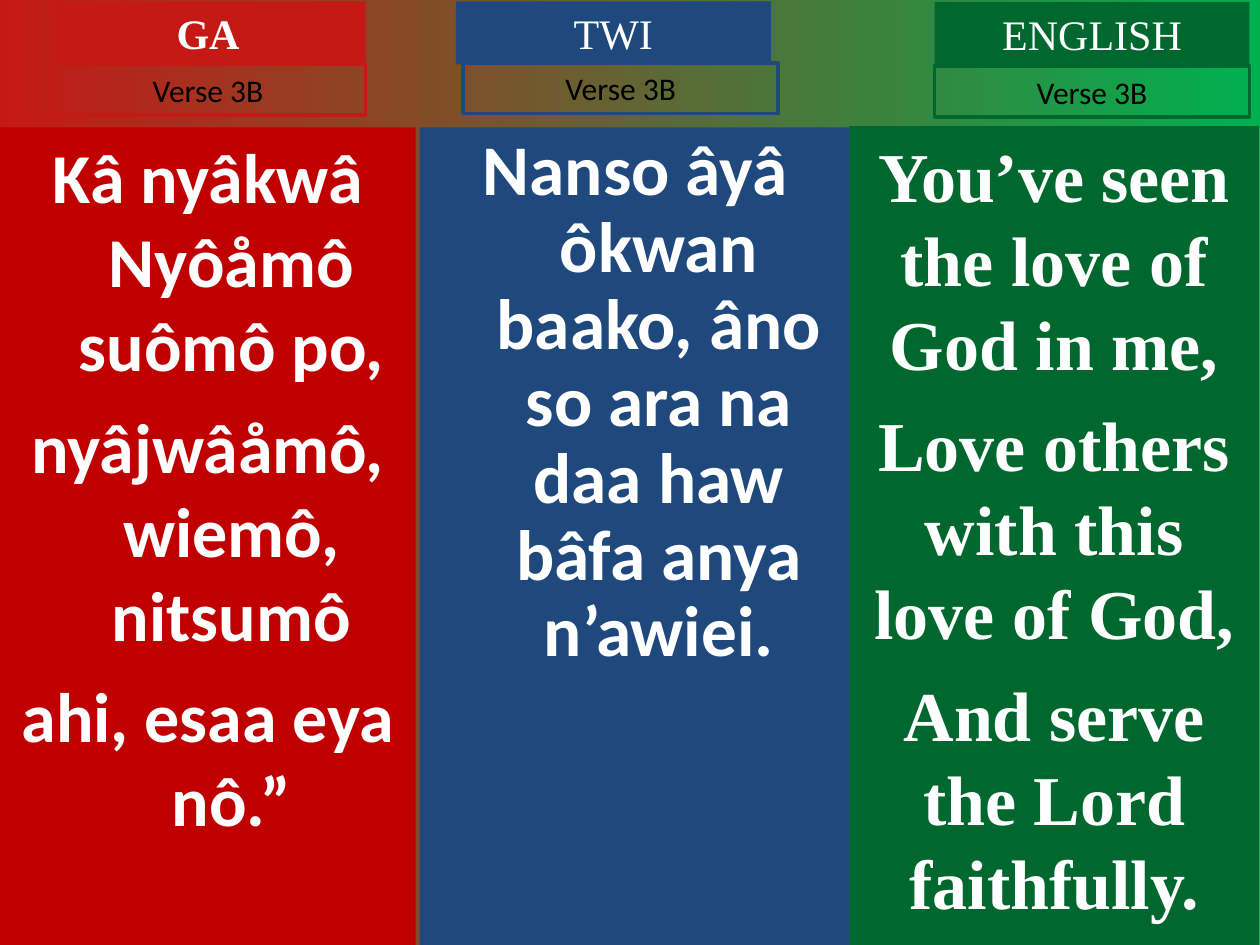
from dataclasses import dataclass

from lxml.etree import SubElement
from pptx import Presentation
from pptx.dml.color import RGBColor
from pptx.enum.shapes import MSO_SHAPE
from pptx.enum.text import MSO_ANCHOR, MSO_AUTO_SIZE, PP_ALIGN
from pptx.oxml.ns import qn
from pptx.util import Cm, Pt


@dataclass(frozen=True)
class Theme:
    red: str = "C00000"
    bright_red: str = "C51915"
    blue: str = "1F497D"
    green: str = "00682F"
    backdrop_green: str = "00B050"
    white: str = "FFFFFF"
    black: str = "000000"
    sans: str = "Calibri"
    serif: str = "Times New Roman"
    heading_size: float = 24
    verse_size: float = 18
    lyric_size: float = 40
    twi_lyric_size: float = 40.7


THEME = Theme()


@dataclass(frozen=True)
class Box:
    """A rectangle in centimetres."""
    left: float
    top: float
    width: float
    height: float


@dataclass(frozen=True)
class TextStyle:
    font: str
    size: float
    color: str
    bold: bool = False
    hanging: float = 0
    line_spacing: float = 1.0
    gap: float = 0


@dataclass(frozen=True)
class Language:
    name: str
    heading_color: str
    heading_bold: bool
    heading_box: Box
    verse_box: Box
    column_color: str
    column_box: Box
    lyric_style: TextStyle
    lyrics: tuple[str, ...]


def heading_at(left: float, top: float) -> Box:
    return Box(left, top, 6.35, 1.27)


def verse_at(left: float, top: float) -> Box:
    return Box(left, top, 6.35, 1.02)


def lyric_style(font: str, **changes) -> TextStyle:
    settings = dict(size=THEME.lyric_size, color=THEME.white, bold=True, gap=10)
    return TextStyle(font, **(settings | changes))


LANGUAGES = (
    Language(
        "GA", THEME.bright_red, True, heading_at(1.02, 0.03), verse_at(1.02, 1.3),
        THEME.red, Box(0, 2.57, 8.38, 16.48),
        lyric_style(THEME.sans, hanging=0.95),
        ("Kâ nyâkwâ Nyôåmô suômô po,", "nyâjwâåmô, wiemô, nitsumô",
         "ahi, esaa eya nô.”"),
    ),
    Language(
        "TWI", THEME.blue, False, heading_at(9.19, 0.03), verse_at(9.34, 1.27),
        THEME.blue, Box(8.46, 2.57, 8.69, 16.48),
        lyric_style(THEME.sans, size=THEME.twi_lyric_size, hanging=0.95,
                    line_spacing=0.9),
        ("Nanso âyâ ôkwan baako, âno so ara na daa haw bâfa anya n’awiei.",),
    ),
    Language(
        "ENGLISH", THEME.green, False, heading_at(18.84, 0.04), verse_at(18.84, 1.34),
        THEME.green, Box(17.12, 2.54, 8.26, 16.54),
        lyric_style(THEME.serif),
        ("You’ve seen the love of God in me,", "Love others with this love of God,",
         "And serve the Lord faithfully."),
    ),
)


def place(shape, box: Box) -> None:
    shape.left, shape.top = Cm(box.left), Cm(box.top)
    shape.width, shape.height = Cm(box.width), Cm(box.height)


def paint(shape, color: str) -> None:
    shape.fill.solid()
    shape.fill.fore_color.rgb = RGBColor.from_string(color)
    shape.line.fill.background()


def add_rectangle(slide, box: Box):
    rectangle = slide.shapes.add_shape(
        MSO_SHAPE.RECTANGLE, Cm(box.left), Cm(box.top), Cm(box.width), Cm(box.height))
    rectangle.shadow.inherit = False
    return rectangle


def write(shape, lines: tuple[str, ...], style: TextStyle, anchor=MSO_ANCHOR.MIDDLE) -> None:
    frame = shape.text_frame
    frame.word_wrap = True
    frame.auto_size = MSO_AUTO_SIZE.NONE
    frame.vertical_anchor = anchor
    for number, line in enumerate(lines):
        paragraph = frame.add_paragraph() if number else frame.paragraphs[0]
        paragraph.text = line
        paragraph.alignment = PP_ALIGN.CENTER
        paragraph.line_spacing = style.line_spacing
        paragraph.space_before = Pt(style.gap if number else 0)
        properties = paragraph._p.get_or_add_pPr()
        properties.set("marL", str(Cm(style.hanging)))
        properties.set("indent", str(-Cm(style.hanging)))
        SubElement(properties, qn("a:buNone"))
        paragraph.font.name = style.font
        paragraph.font.size = Pt(style.size)
        paragraph.font.bold = style.bold
        paragraph.font.color.rgb = RGBColor.from_string(style.color)


def draw_language(slide, language: Language, column, heading) -> None:
    place(column, language.column_box)
    paint(column, language.column_color)
    write(column, language.lyrics, language.lyric_style, MSO_ANCHOR.TOP)

    place(heading, language.heading_box)
    paint(heading, language.heading_color)
    write(heading, (language.name,), TextStyle(
        THEME.serif, THEME.heading_size, THEME.white, language.heading_bold))

    verse = add_rectangle(slide, language.verse_box)
    verse.fill.background()
    verse.line.color.rgb = RGBColor.from_string(language.heading_color)
    verse.line.width = Pt(2.25)
    write(verse, ("Verse 3B",), TextStyle(THEME.sans, THEME.verse_size, THEME.black))


def paint_backdrop(slide) -> None:
    fill = slide.background.fill
    fill.gradient()
    fill.gradient_angle = 0
    for stop, color in zip(fill.gradient_stops, (THEME.bright_red, THEME.backdrop_green)):
        stop.color.rgb = RGBColor.from_string(color)


def main() -> None:
    presentation = Presentation()
    presentation.slide_width, presentation.slide_height = Cm(25.4), Cm(19.05)
    slide = presentation.slides.add_slide(
        presentation.slide_layouts.get_by_name("Comparison"))
    paint_backdrop(slide)
    title, *columns, spare = slide.placeholders
    spare.element.getparent().remove(spare.element)
    for language, column in zip(LANGUAGES, columns):
        is_first = language is LANGUAGES[0]
        heading = title if is_first else add_rectangle(slide, language.heading_box)
        draw_language(slide, language, column, heading)
    presentation.save("out.pptx")


if __name__ == "__main__":
    main()
